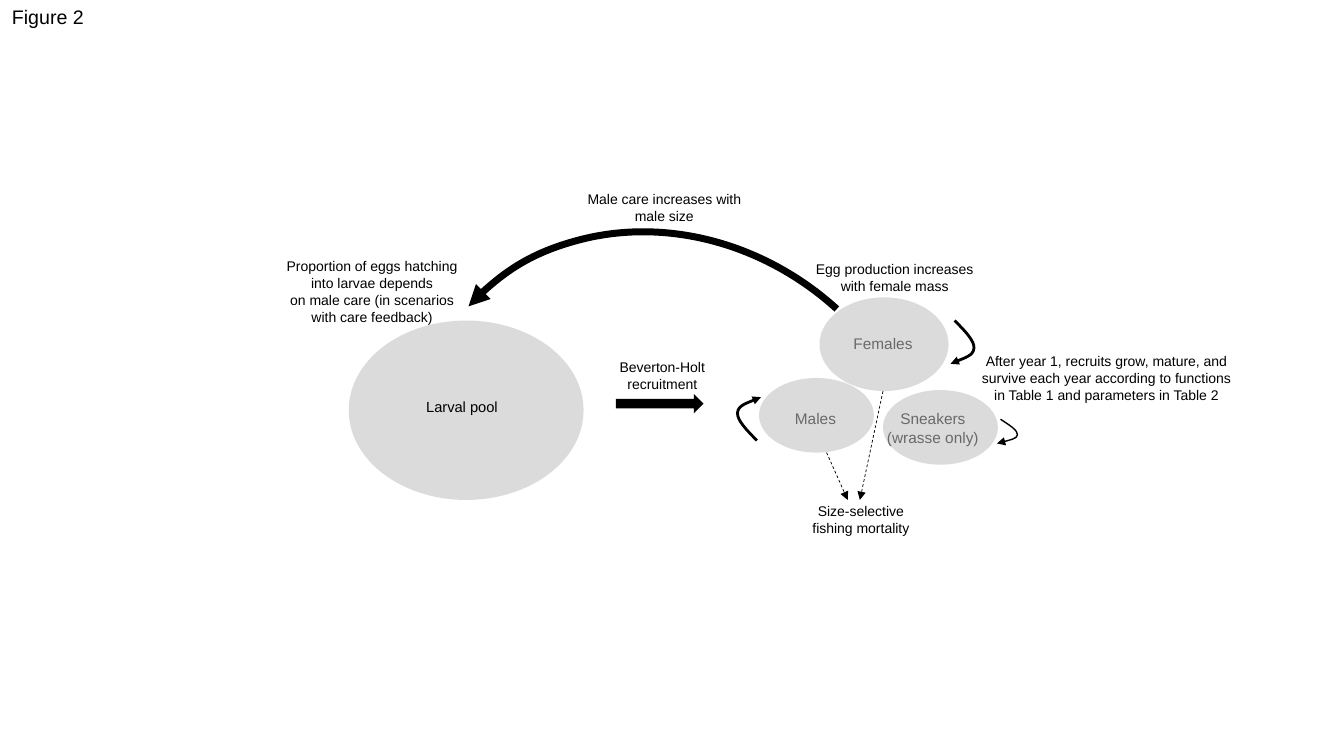
"""Build the life-cycle diagram of larvae, females, males and sneakers on a grid of tenth-inch cells."""
from lxml.etree import SubElement
from pptx import Presentation
from pptx.dml.color import RGBColor
from pptx.enum.dml import MSO_LINE
from pptx.enum.shapes import MSO_CONNECTOR, MSO_SHAPE
from pptx.enum.text import PP_ALIGN
from pptx.oxml.ns import qn
from pptx.util import Inches, Pt

BLACK = RGBColor(0, 0, 0)
GREY = RGBColor(0xBF, 0xBF, 0xBF)
CELL = Inches(0.1)

deck = Presentation()
deck.slide_width = int(133.33 * CELL)
deck.slide_height = 75 * CELL
page = deck.slides.add_slide(deck.slide_layouts[6])


def add_label(column, row, columns, rows, lines, size=10, align=PP_ALIGN.CENTER):
    box = page.shapes.add_textbox(*(int(n * CELL) for n in (column, row, columns, rows)))
    box.text_frame.word_wrap = True
    box.text_frame.text = "\n".join(lines)
    for para in box.text_frame.paragraphs:
        para.alignment = align
        para.font.name = "Arial"
        para.font.size = Pt(size)
        para.font.color.rgb = BLACK


def style_line(shape, width, arrow_end):
    shape.line.color.rgb = BLACK
    shape.line.width = Pt(width)
    if shape.line.dash_style is None and width < 1:
        shape.line.dash_style = MSO_LINE.DASH
    SubElement(shape.line._get_or_add_ln(), qn("a:" + arrow_end), type="triangle")


add_label(80.6, 32.7, 14, 2.7, ["Females"], 11)
add_label(75.9, 40.1, 10, 2.7, ["Males"], 11)
add_label(86.05, 40.1, 13, 4.5, ["Sneakers", "(wrasse only)"], 11)
add_label(53.2, 35.1, 25, 10, ["Beverton-Holt", "recruitment"])

for column, row, columns, rows in (
    (34.6, 31.8, 23.3, 17.8),
    (81.3, 29.5, 12.8, 9.3),
    (75.3, 37.5, 11.4, 7.4),
    (87.6, 38.7, 11.4, 7.4),
):
    oval = page.shapes.add_shape(
        MSO_SHAPE.OVAL, *(int(n * CELL) for n in (column, row, columns, rows)))
    oval.shadow.inherit = False
    oval.fill.solid()
    oval.fill.fore_color.rgb = GREY
    SubElement(oval.fill._xPr.find(".//" + qn("a:srgbClr")), qn("a:alpha"), val="55000")
    oval.line.fill.background()

add_label(41.3, 39, 17.9, 2.9, ["Larval pool"], 10.5, PP_ALIGN.LEFT)

recruitment = page.shapes.add_shape(
    MSO_SHAPE.RIGHT_ARROW, *(int(n * CELL) for n in (61.1, 39.1, 8.7, 1.9)))
recruitment.shadow.inherit = False
recruitment.fill.solid()
recruitment.fill.fore_color.rgb = BLACK
recruitment.line.fill.background()

care_arc = page.shapes.add_shape(
    MSO_SHAPE.ARC, *(int(n * CELL) for n in (42.2, 21.5, 48.8, 54.4)))
care_arc.rotation = 312.3
care_arc.shadow.inherit = False
care_arc.fill.background()
style_line(care_arc, 5, "headEnd")

add_label(73.4, 49.4, 24, 4.4, ["Size-selective", "fishing mortality"])
add_label(0.2, 0, 15, 3.4, ["Figure 2"], 14, PP_ALIGN.LEFT)
add_label(26.9, 25.1, 20, 10, [
    "Proportion of eggs hatching into larvae depends",
    "on male care (in scenarios with care feedback)",
])
add_label(53.4, 18.4, 25, 10, ["Male care increases with", "male size"])
add_label(96, 34.5, 27.5, 6.1, [
    "After year 1, recruits grow, mature, and survive each year "
    "according to functions in Table 1 and parameters in Table 2",
])
add_label(79, 25.4, 19.5, 4.4, ["Egg production increases with female mass"])

for start_column, start_row, end_column in ((87.6, 38.8, 85.3), (82, 44.9, 84.1)):
    mortality = page.shapes.add_connector(
        MSO_CONNECTOR.STRAIGHT,
        *(int(n * CELL) for n in (start_column, start_row, end_column, 49.6)))
    style_line(mortality, 0.5, "tailEnd")
    SubElement(mortality._element.spPr, qn("a:effectLst"))

LOOP = ((0.17, 0), (0.58, 0.23), (1, 0.47), (0.97, 0.64), (0.95, 0.81), (0, 1), (0, 1))
for column, row, columns, rows, width in (
    (94.3, 31.8, 2.4, 4.3, 2),
    (75.5, 43.7, -2.4, -4.3, 2),
    (98.9, 41.6, 2.1, 2.4, 1),
):
    points = [(int((column + x * columns) * CELL), int((row + y * rows) * CELL))
              for x, y in LOOP]
    builder = page.shapes.build_freeform(*points[0])
    builder.add_line_segments(points[1:], close=False)
    loop = builder.convert_to_shape()
    outline = loop._element.find(".//" + qn("a:path"))
    segments = outline.findall(qn("a:lnTo"))
    for first in range(0, len(segments), 3):
        curve = SubElement(outline, qn("a:cubicBezTo"))
        for segment in segments[first:first + 3]:
            curve.append(segment[0])
            outline.remove(segment)
    loop.shadow.inherit = False
    loop.fill.background()
    style_line(loop, width, "tailEnd")

deck.save("out.pptx")
